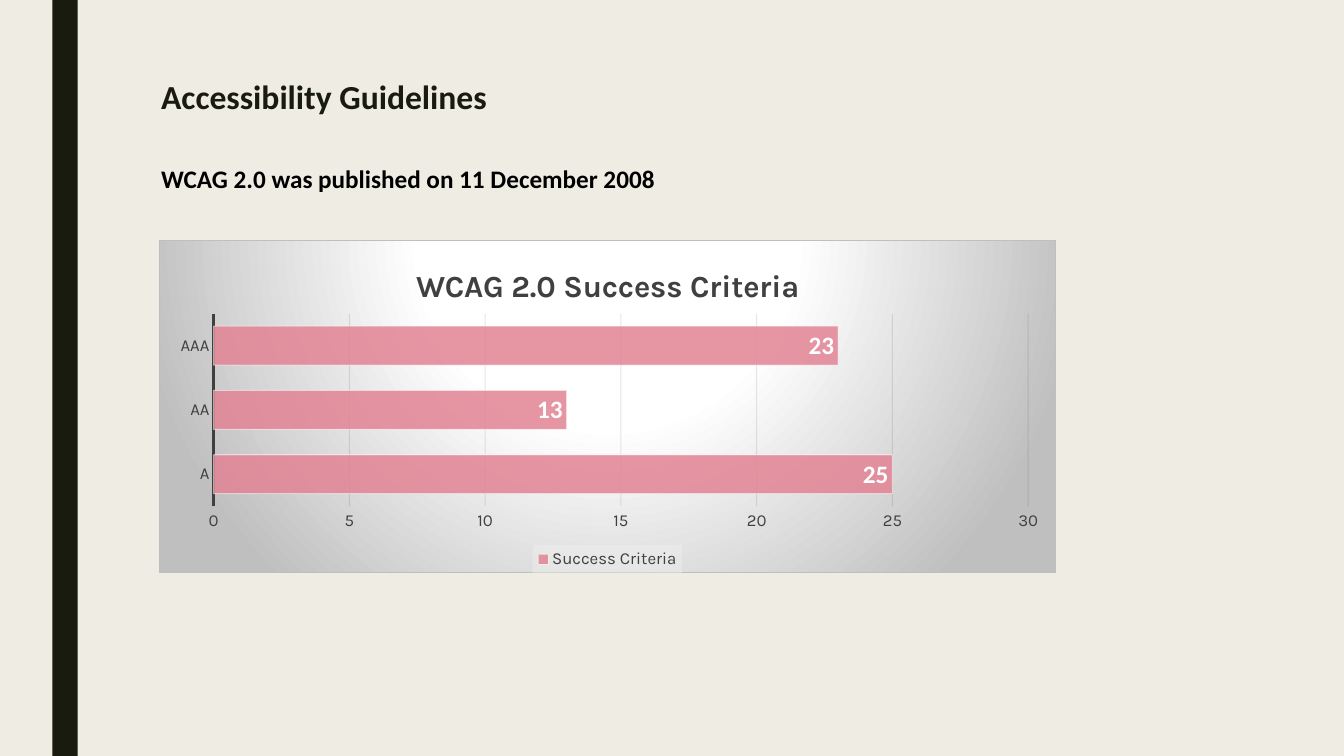
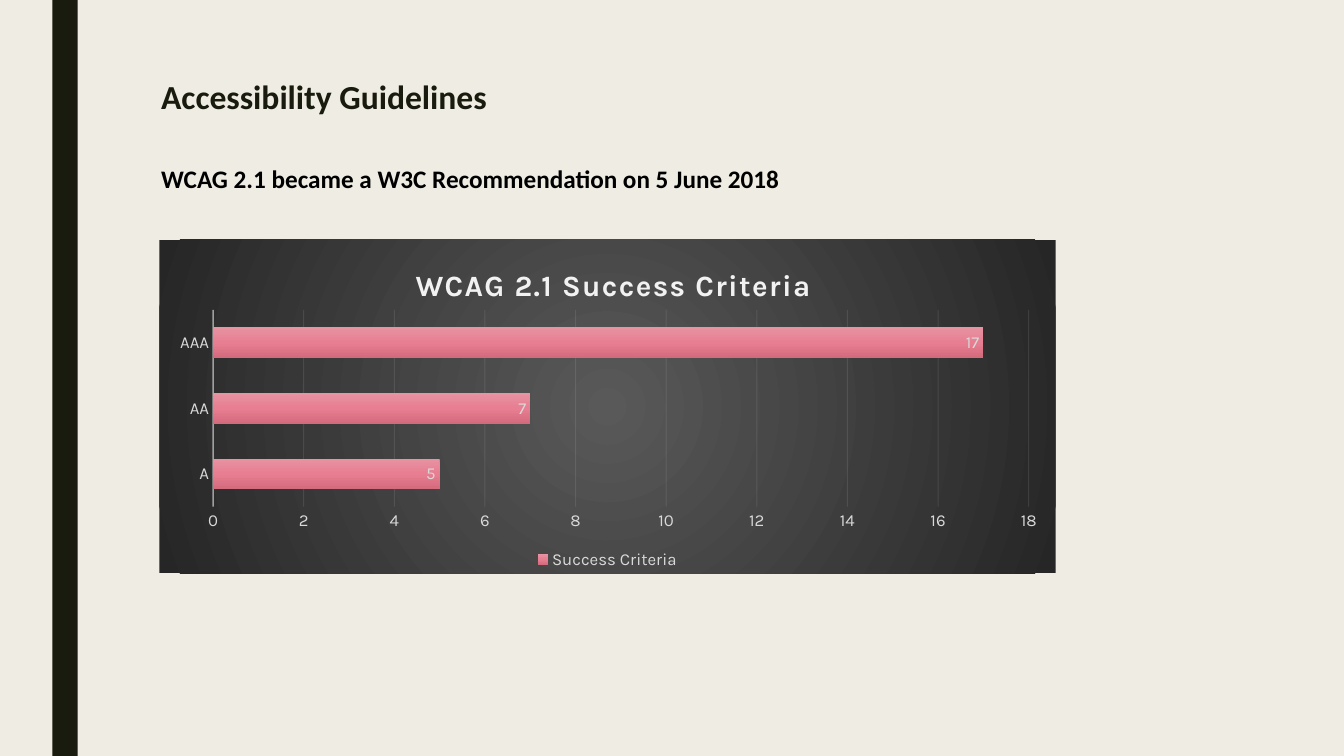
from pptx import Presentation
from pptx.chart.data import CategoryChartData
from pptx.dml.color import RGBColor
from pptx.enum.chart import (XL_CHART_TYPE as CT, XL_LABEL_POSITION as LP,
                             XL_LEGEND_POSITION as LEG, XL_TICK_MARK as TM)
from pptx.enum.shapes import MSO_SHAPE as MS
from pptx.oxml import parse_xml
from pptx.oxml.ns import nsdecls, qn
from pptx.util import Inches, Pt


def rgb(value):
    return RGBColor.from_string(value)


def solid(color, alpha=100):
    return (f'<a:solidFill><a:srgbClr val="{color}"><a:alpha val="{alpha * 1000}"/>'
            '</a:srgbClr></a:solidFill>')


def gradient(stops, direction):
    marks = "".join(f'<a:gs pos="{pos * 1000}"><a:srgbClr val="{color}"/></a:gs>'
                    for pos, color in stops)
    return f'<a:gradFill rotWithShape="1"><a:gsLst>{marks}</a:gsLst>{direction}</a:gradFill>'


def circle(top, bottom):
    return ('<a:path path="circle"><a:fillToRect l="50000" r="50000" '
            f't="{top * 1000}" b="{bottom * 1000}"/></a:path>')


def outline(color=None, width=0.75, alpha=100):
    if color is None:
        return '<a:ln><a:noFill/></a:ln>'
    return f'<a:ln w="{Pt(width)}">{solid(color, alpha)}</a:ln>'


def paint(previous, fill="", line=""):
    previous.addnext(parse_xml(f'<c:spPr {nsdecls("c", "a")}>{fill}{line}</c:spPr>'))


def place(parent, index, inner=False, **box):
    old = parent.find(qn("c:layout"))
    if old is not None:
        parent.remove(old)
    target = '<c:layoutTarget val="inner"/>' if inner else ""
    modes = '<c:xMode val="edge"/><c:yMode val="edge"/>'
    sizes = "".join(f'<c:{key} val="{val}"/>' for key, val in box.items())
    parent.insert(index, parse_xml(
        f'<c:layout {nsdecls("c")}><c:manualLayout>{target}{modes}{sizes}'
        '</c:manualLayout></c:layout>'))


LIGHT = dict(
    text="404040", title="404040", title_size=22, spacing=0,
    axis=("404040", 1.5, 100), grid=("0D0D0D", 0.75, 10), top=0.22,
    back=gradient([(0, "FFFFFF"), (39, "FFFFFF"), (100, "BFBFBF")], circle(-80, 180)),
    border=outline("BFBFBF"), bar=solid("E28394", 85),
    bar_line=outline("FFFFFF", 0.75, 50), gap=65, overlap=0,
    legend=solid("F2F2F2", 39), label=("Calibri", 18, "FFFFFF", True))
DARK = dict(
    text="D9D9D9", title="F2F2F2", title_size=21, spacing=100,
    axis=("F2F2F2", 1, 54), grid=("F2F2F2", 0.75, 10), top=0.21,
    back=gradient([(0, "595959"), (100, "262626")], circle(50, 50)),
    border=outline(), bar=gradient([(0, "E793A2"), (50, "E77E91"), (100, "D36B7D")],
                                   '<a:lin ang="5400000" scaled="0"/>'),
    bar_line=outline(), gap=115, overlap=-20,
    legend="<a:noFill/>", label=("Karla", 12, "D9D9D9", False))


class Deck:
    BACK, INK, BLACK = "EFEDE3", "191B0E", "000000"
    HEAD_FONT, CHART_FONT = "Calibri", "Karla"

    def __init__(self):
        self.prs = Presentation()
        self.prs.slide_width, self.prs.slide_height = Inches(13.33), Inches(7.5)
        self.s = None

    def slide(self, title, subtitle, width):
        self.s = self.prs.slides.add_slide(self.prs.slide_layouts[6])
        fill = self.s.background.fill
        fill.solid()
        fill.fore_color.rgb = rgb(self.BACK)
        self.band()
        self.text(title, 0.75, 10.5, 0.82, 24, self.INK, spacing=0.89)
        self.text(subtitle, 1.57, width, 0.4, 18, self.BLACK, wrap=False)

    def band(self):
        sp = self.s.shapes.add_shape(MS.RECTANGLE, Inches(0.52), 0, Inches(0.25), Inches(7.5))
        sp.shadow.inherit = False
        sp.fill.solid()
        sp.fill.fore_color.rgb = rgb(self.INK)
        sp.line.fill.background()

    def font(self, font, name, size, color, bold=False):
        font.name, font.size, font.bold = name, Pt(size), bold
        font.color.rgb = rgb(color)

    def text(self, text, top, width, height, size, color, wrap=True, spacing=1.0):
        sp = self.s.shapes.add_textbox(Inches(1.5), Inches(top), Inches(width), Inches(height))
        tf = sp.text_frame
        tf.word_wrap = wrap
        p = tf.paragraphs[0]
        p.line_spacing = spacing
        r = p.add_run()
        r.text = text
        self.font(r.font, self.HEAD_FONT, size, color, True)

    def axis(self, axis, look, line):
        axis.major_tick_mark = axis.minor_tick_mark = TM.NONE
        self.font(axis.tick_labels.font, self.CHART_FONT, 12, look["text"])
        paint(axis._element.find(qn("c:tickLblPos")), line=line)

    def bar_chart(self, title, values, top_value, step, look):
        data = CategoryChartData()
        data.categories = ["A", "AA", "AAA"]
        data.add_series("Success Criteria", values)
        chart = self.s.shapes.add_chart(CT.BAR_CLUSTERED, Inches(1.58), Inches(2.38),
                                        Inches(8.89), Inches(3.31), data).chart
        self.font(chart.font, self.CHART_FONT, 10, self.BLACK)
        root = chart._chartSpace.find(qn("c:chart"))
        paint(root, look["back"], look["border"])

        chart.has_title = True
        r = chart.chart_title.text_frame.paragraphs[0].add_run()
        r.text = title
        self.font(r.font, self.CHART_FONT, look["title_size"], look["title"], True)
        r.font._element.set("spc", str(look["spacing"]))
        place(root.find(qn("c:title")), 1, x=0.28, y=0.06)
        place(root.find(qn("c:plotArea")), 0, inner=True, x=0.06, y=look["top"],
              w=0.91, h=0.8 - look["top"])

        self.axis(chart.category_axis, look, outline(*look["axis"]))
        val = chart.value_axis
        val.minimum_scale, val.maximum_scale, val.major_unit = 0, top_value, step
        val.has_major_gridlines = True
        val._element.find(qn("c:majorGridlines")).append(parse_xml(
            f'<c:spPr {nsdecls("c", "a")}>{outline(*look["grid"])}</c:spPr>'))
        self.axis(val, look, outline())

        plot = chart.plots[0]
        plot.vary_by_categories = False
        plot.gap_width, plot.overlap = look["gap"], look["overlap"]
        series = plot.series[0]
        paint(series._element.find(qn("c:tx")), look["bar"], look["bar_line"])
        labels = series.data_labels
        labels.show_value, labels.position = True, LP.INSIDE_END
        self.font(labels.font, *look["label"])

        chart.has_legend = True
        legend = chart.legend
        legend.position, legend.include_in_layout = LEG.BOTTOM, False
        self.font(legend.font, self.CHART_FONT, 12, look["text"])
        paint(legend._element.find(qn("c:overlay")), look["legend"])


def main():
    deck = Deck()
    heading = "Accessibility Guidelines"
    deck.slide(heading, "WCAG 2.0 was published on 11 December 2008", 5.14)
    deck.bar_chart("WCAG 2.0 Success Criteria", (25, 13, 23), 30, 5, LIGHT)
    deck.slide(heading, "WCAG 2.1 became a W3C Recommendation on 5 June 2018", 6.39)
    deck.bar_chart("WCAG 2.1 Success Criteria", (5, 7, 17), 18, 2, DARK)
    deck.prs.save("out.pptx")


if __name__ == "__main__":
    main()
